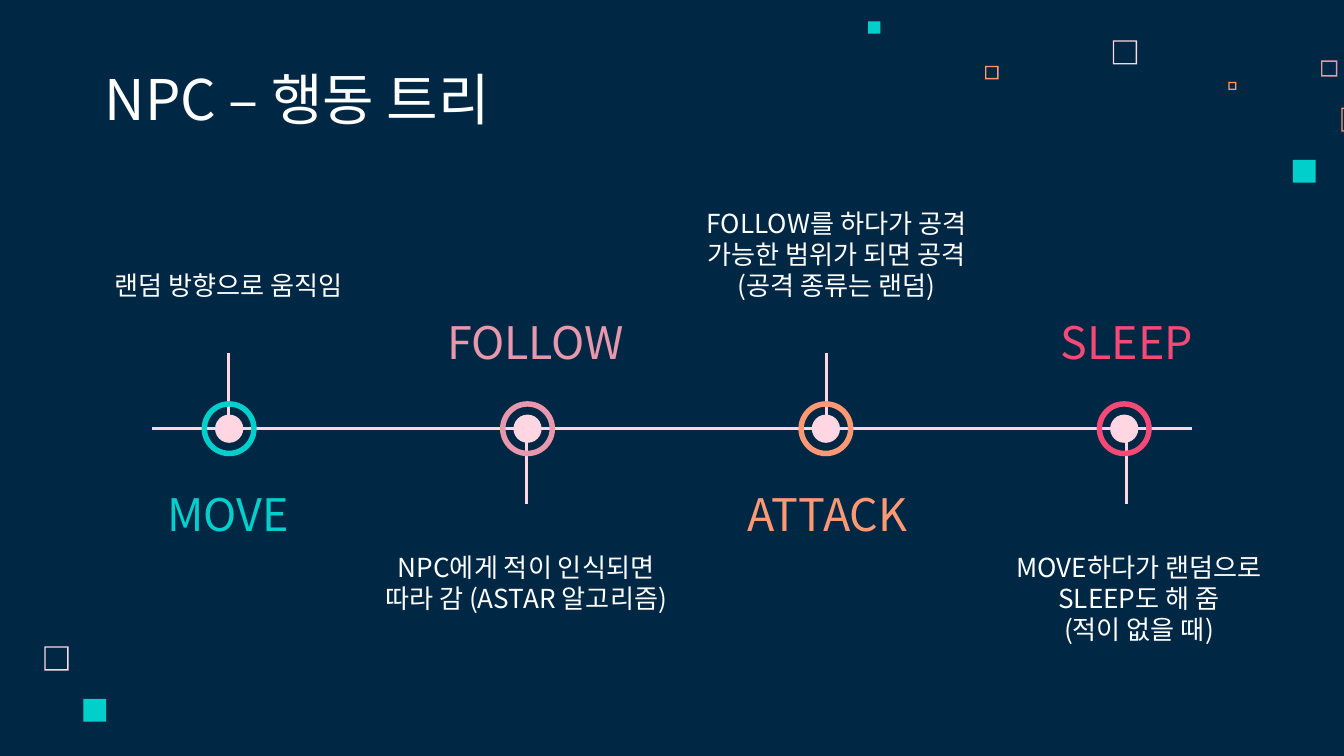
from collections import namedtuple
from dataclasses import dataclass

from lxml.etree import SubElement
from pptx import Presentation
from pptx.dml.color import RGBColor
from pptx.enum.shapes import MSO_CONNECTOR as Connector, MSO_SHAPE as Shape
from pptx.enum.text import MSO_ANCHOR as Anchor, PP_ALIGN as Align
from pptx.oxml.ns import qn
from pptx.util import Inches, Pt


@dataclass(frozen=True)
class Theme:
    font: str = "Noto Sans CJK KR"
    navy: str = "002845"
    white: str = "FFFFFF"
    blush: str = "FFD6E1"
    teal: str = "00CFCC"
    rose: str = "E898AC"
    orange: str = "FF9973"
    red: str = "F64975"
    title_size: int = 30
    label_size: int = 24
    note_size: int = 14
    line_height: float = 1.2
    line_width: float = 1.5


THEME = Theme()
PAGE_WIDTH = 10
PAGE_HEIGHT = PAGE_WIDTH * 9 / 16
AXIS_Y = 3.19
DOT, RING = 0.21, 0.41
FIRST_X, STEP_X = 1.6 + DOT / 2, 2.22

# Boxes are left, top, width, height; a vertical tab is a line break
State = namedtuple("State", "name color stem_x label_box note_box note above")
STATES = [
    State("MOVE", THEME.teal, 1.7, (0.99, 3.59, 1.41, 0.47),
          (0.67, 1.63, 2.06, 0.71), ["랜덤 방향으로 움직임"], True),
    State("FOLLOW", THEME.rose, 3.92, (3.22, 2.31, 1.53, 0.47),
          (2.63, 4, 2.57, 0.71),
          ["NPC에게 적이 인식되면\v따라 감 (ASTAR 알고리즘)"], False),
    State("ATTACK", THEME.orange, 6.15, (5.45, 3.59, 1.41, 0.47),
          (5, 1.63, 2.45, 0.71),
          ["FOLLOW를 하다가 공격 가능한 범위가 되면 공격", "(공격 종류는 랜덤)"], True),
    State("SLEEP", THEME.red, 8.38, (7.68, 2.31, 1.41, 0.47),
          (7.35, 4, 2.25, 1),
          ["MOVE하다가 랜덤으로 SLEEP도 해 줌\v(적이 없을 때)"], False),
]

# Decorative squares: left, top, side, colour
OUTLINE_SQUARES = [
    (8.28, 0.3, 0.18, THEME.blush),
    (9.83, 0.45, 0.12, THEME.rose),
    (9.14, 0.61, 0.06, THEME.orange),
    (9.98, 0.8, 0.18, THEME.orange),
    (7.33, 0.49, 0.1, THEME.orange),
    (0.33, 4.81, 0.18, THEME.blush),
]
SOLID_SQUARES = [
    (9.62, 1.19, 0.17, THEME.teal),
    (6.46, 0.16, 0.09, THEME.teal),
    (0.62, 5.2, 0.17, THEME.teal),
]


def add_filled(shapes, kind, left, top, side, color, adjust=None):
    shape = shapes.add_shape(kind, Inches(left), Inches(top),
                             Inches(side), Inches(side))
    shape.shadow.inherit = False
    shape.fill.solid()
    shape.fill.fore_color.rgb = RGBColor.from_string(color)
    shape.line.fill.background()
    if adjust is not None:
        shape.adjustments[0] = adjust


def add_line(page, x1, y1, x2, y2):
    line = page.shapes.add_connector(Connector.STRAIGHT, Inches(x1), Inches(y1),
                                     Inches(x2), Inches(y2))
    line.line.color.rgb = RGBColor.from_string(THEME.blush)
    line.line.width = Pt(THEME.line_width)
    SubElement(line._element.spPr, qn("a:effectLst"))


def add_text(page, bounds, paragraphs, size, color, anchor, align=Align.CENTER):
    box = page.shapes.add_textbox(*map(Inches, bounds))
    frame = box.text_frame
    frame.word_wrap = True
    frame.vertical_anchor = anchor
    frame.margin_left = frame.margin_right = Inches(0.1)
    frame.margin_top = frame.margin_bottom = Inches(0.1)
    for index, text in enumerate(paragraphs):
        para = frame.add_paragraph() if index else frame.paragraphs[0]
        para.alignment = align
        para.line_spacing = Pt(size * THEME.line_height)
        for number, line in enumerate(text.split("\v")):
            if number:
                para.add_line_break()
            add_span(para, line, size, color)


def add_span(para, text, size, color):
    span = para.add_run()
    span.text = text
    span.font.size = Pt(size)
    span.font.name = THEME.font
    span.font.color.rgb = RGBColor.from_string(color)
    # Hangul takes its typeface from the East Asian slot
    SubElement(span._r.get_or_add_rPr(), qn("a:ea"), typeface=THEME.font)


def add_squares(page):
    for left, top, side, color in OUTLINE_SQUARES:
        add_filled(page.shapes, Shape.FRAME, left, top, side, color,
                   adjust=0.01 / side)
    for square in SOLID_SQUARES:
        add_filled(page.shapes, Shape.RECTANGLE, *square)


def add_marker(page, center_x, color):
    group = page.shapes.add_group_shape()
    add_filled(group.shapes, Shape.OVAL, center_x - DOT / 2,
               AXIS_Y - DOT / 2, DOT, THEME.blush)
    add_filled(group.shapes, Shape.DONUT, center_x - RING / 2,
               AXIS_Y - RING / 2, RING, color, adjust=0.1)


def add_timeline(page):
    # Stems and axis lie behind the markers
    for state in STATES:
        top, bottom = (2.63, 3.13) if state.above else (3.26, 3.75)
        add_line(page, state.stem_x, top, state.stem_x, bottom)
    add_line(page, 1.13, AXIS_Y, 8.87, AXIS_Y)
    for index, state in enumerate(STATES):
        add_marker(page, FIRST_X + index * STEP_X, state.color)

    # Notes sit at the stem ends, names on the other side of the axis
    for state in STATES:
        add_text(page, state.note_box, state.note, THEME.note_size, THEME.white,
                 Anchor.BOTTOM if state.above else Anchor.TOP)
        add_text(page, state.label_box, [state.name], THEME.label_size,
                 state.color, Anchor.MIDDLE)


def main():
    deck = Presentation()
    deck.slide_width, deck.slide_height = Inches(PAGE_WIDTH), Inches(PAGE_HEIGHT)
    page = deck.slides.add_slide(deck.slide_layouts[6])
    page.background.fill.solid()
    page.background.fill.fore_color.rgb = RGBColor.from_string(THEME.navy)

    add_squares(page)
    add_text(page, (0.68, 0.45, 5.17, 0.63), ["NPC – 행동 트리"],
             THEME.title_size, THEME.white, Anchor.BOTTOM, Align.LEFT)
    add_timeline(page)
    deck.save("out.pptx")


if __name__ == "__main__":
    main()
